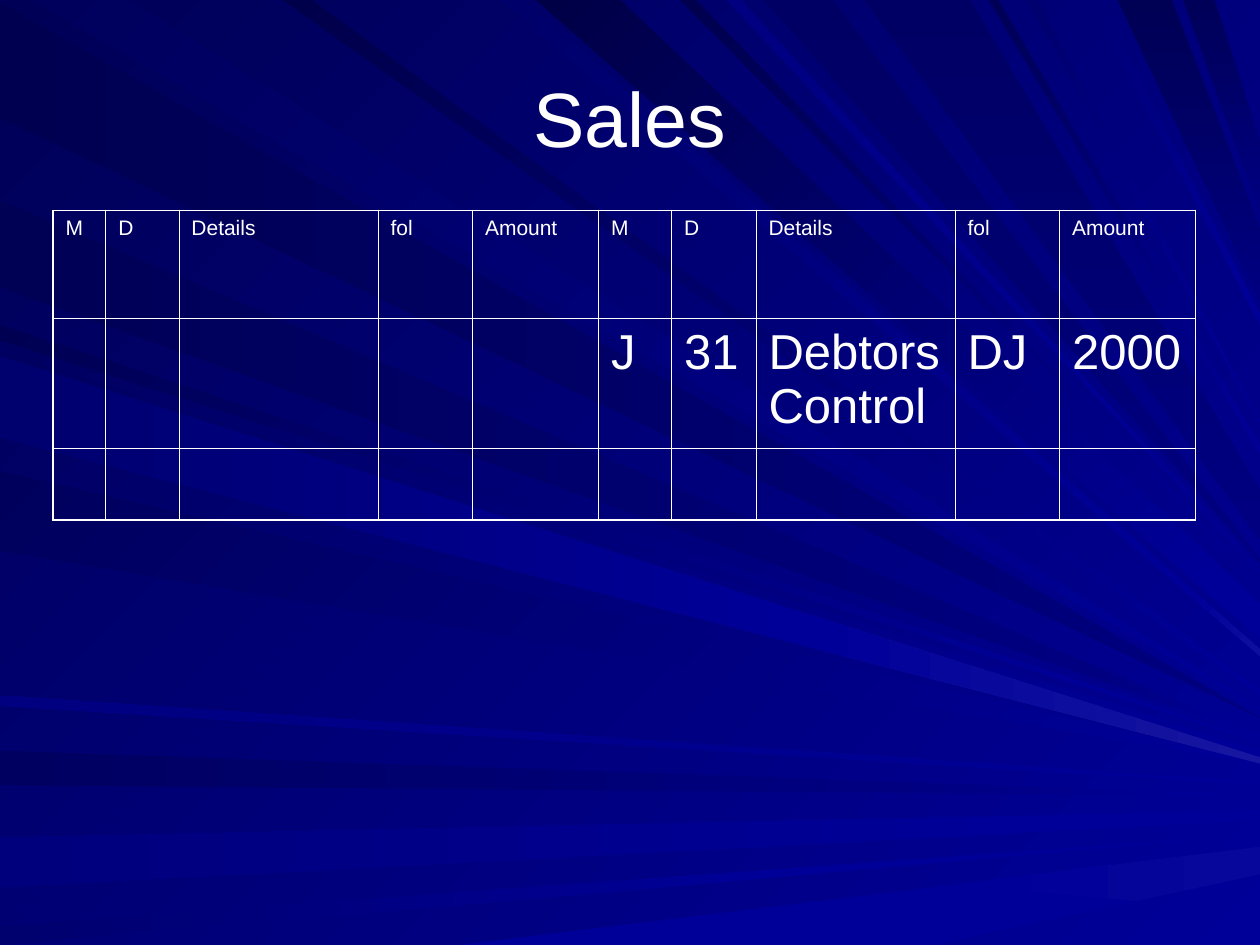
from lxml import etree
from pptx import Presentation, util as u
from pptx.dml.color import RGBColor
from pptx.enum import text
from pptx.oxml.ns import qn

HUE = {
    "white": "FFFFFF", "pink": "FF9999", "base": "000099", "mid": "000080",
    "n46": "000046", "n4A": "00004A", "n4E": "00004E", "n51": "000051",
    "n53": "000053", "n55": "000055", "n57": "000057", "n59": "000059",
    "n5C": "00005C", "n60": "000060", "n64": "000064", "n6A": "00006A",
    "n6E": "00006E", "n78": "000078", "n7C": "00007C", "n81": "000081",
    "glow1": "07079B", "glow2": "0E0E9E", "glow3": "1616A1",
}
FONT = "Arial"
WIDE, HIGH = 10, 7.5
TURN = {"west": 180, "nw": 135, "south": 270}

# Light rays, back to front: the edge a ray starts on, its gradient's heading,
# its hues, its two places on that edge, its two heights at the right edge
# and, for a ray of two parts, the share of its length where they meet
RAYS = [
    ("left", "west", "mid n51", 0.02, 0.93, 5.69, 5.7),
    ("top", "nw", "base n5C", 1.01, 0.26, 5.62, 5.63),
    ("left", "west", "base mid n60", 5.96, 6.23, 6.31, 6.32, 0.7),
    ("left", "west", "base base n7C", 6.65, 7.04, 6.43, 6.51, 0.83),
    ("left", "west", "base base n6E", 7.35, 7.5, 6.62, 6.62, 0.63),
    ("foot", "west", "glow1 base base", 3.64, 7.42, 6.72, 6.94, 0.62),
    ("left", "nw", "base base n53", 2.58, 2.7, 5.88, 5.89, 0.87),
    ("left", "west", "base mid n55", 1.59, 2.28, 5.84, 5.85, 0.87),
    ("top", "nw", "glow2 base n6A", 4.16, 3.98, 5.15, 5.21, 0.91),
    ("top", "nw", "base base n46", 4.92, 4.26, 4.79, 5.07, 0.93),
    ("top", "nw", "base n4E", 5.52, 5.4, 4.63, 4.63),
    ("top", "south", "n64 mid", 6.61, 6.06, 4.45, 4.46),
    ("top", "south", "n55 mid", 9.3, 8.87, 1.83, 2.37),
    ("top", "south", "n59 mid", 9.64, 9.39, 1.14, 1.67),
    ("left", "nw", "base n60", 2.78, 3.42, 5.96, 6.02),
    ("left", "nw", "base n5C", 3.74, 4.37, 6.05, 6.06),
    ("left", "west", "base n81", 5.52, 5.6, 6.21, 6.23),
    ("top", "nw", "base n4A", 2.47, 2.25, 5.47, 5.52),
    ("top", "nw", "base n81", 5.88, 5.77, 4.53, 4.54),
    ("top", "south", "n64 mid", 7.7, 6.86, 3.9, 4.28),
    ("top", "nw", "base n57", 7.92, 7.85, 3.54, 3.6),
    ("top", "nw", "base n6E", 8.24, 8.15, 3.35, 3.36),
    ("top", "nw", "base n78", 8.72, 8.65, 2.49, 2.58),
    ("left", "west", "glow3 base n6E", 2.83, 3.47, 6.01, 6.06, 0.64),
    ("top", "nw", "pink pink base n4E", 5.52, 5.4, 4.63, 4.63, 0.95),
]
COLS = [0.42, 0.58, 1.58, 0.75, 1, 0.58, 0.67, 1.58, 0.83, 1.08]
ROWS = [0.86, 1.03, 0.57]
HEAD = ["M", "D", "Details", "fol", "Amount"]
DATA = [HEAD * 2, [""] * 5 + ["J", "31", "Debtors Control", "DJ", "2000"], [""] * 10]
SIZES = [12, 28, 28]


def paint(fill, first, last, turn):
    if first == last:
        fill.solid()
        fill.fore_color.rgb = RGBColor.from_string(HUE[first])
        return
    fill.gradient()
    fill.gradient_angle = turn
    for stop, hue in zip(fill.gradient_stops, (first, last)):
        stop.color.rgb = RGBColor.from_string(HUE[hue])


def write(para, words, size):
    run = para.add_run()
    run.text = words
    run.font.name = FONT
    run.font.size = u.Pt(size)
    run.font.color.rgb = RGBColor.from_string(HUE["white"])


deck = Presentation()
deck.slide_width, deck.slide_height = u.Inches(WIDE), u.Inches(HIGH)
slide = deck.slides.add_slide(deck.slide_layouts[5])
paint(slide.background.fill, "base", "n57", TURN["nw"])

# Rays, grouped behind the title
group = slide.shapes.add_group_shape()
for edge, head, names, one, two, high, low, *cut in RAYS[:-1]:
    hues = names.split()
    near = [(0, p) if edge == "left" else (p, 0 if edge == "top" else HIGH)
            for p in (one, two)]
    sides = list(zip(near, [(WIDE, high), (WIDE, low)]))
    marks = [0, *cut, 1]
    for part, (start, end) in enumerate(zip(marks, marks[1:])):
        (a, d), (b, c) = [
            [(x + (far - x) * share, y + (fall - y) * share) for share in (start, end)]
            for (x, y), (far, fall) in sides]
        points = [(100 * x, 100 * y) for x, y in (a, d, c, b)]
        pen = group.shapes.build_freeform(*points[0], scale=u.Inches(0.01))
        pen.add_line_segments(points[1:], close=True)
        ray = pen.convert_to_shape()
        ray.shadow.inherit = False
        ray.line.fill.background()
        spot = len(hues) - 2 - part
        paint(ray.fill, hues[spot], hues[spot + 1], TURN[head])
slide.shapes.element.insert(2, group.element)

# Title
title = slide.shapes.title
title.left, title.top = u.Inches(0.5), u.Inches(0.3)
title.width, title.height = u.Inches(9), u.Inches(1.25)
frame = title.text_frame
frame.vertical_anchor = text.MSO_ANCHOR.MIDDLE
frame.paragraphs[0].alignment = text.PP_ALIGN.CENTER
write(frame.paragraphs[0], "Sales", 44)

# Ledger table
table = slide.shapes.add_table(
    len(ROWS), len(COLS), u.Inches(0.42), u.Inches(1.67),
    u.Inches(sum(COLS)), u.Inches(sum(ROWS))).table
table.first_row = table.horz_banding = False
for col, width in zip(table.columns, COLS):
    col.width = u.Inches(width)
for row, height in zip(table.rows, ROWS):
    row.height = u.Inches(height)

for r, line in enumerate(DATA):
    for c, words in enumerate(line):
        cell = table.cell(r, c)
        cell.fill.background()
        if words:
            write(cell.text_frame.paragraphs[0], words, SIZES[r])
        props = cell._tc.get_or_add_tcPr()
        outer = {"lnL": c == 0, "lnR": c == len(COLS) - 1,
                 "lnT": r == 0, "lnB": r == len(ROWS) - 1}
        for spot, (side, rim) in enumerate(outer.items()):
            rule = etree.Element(qn("a:" + side), w=str(u.Pt(1.08 if rim else 0.45)))
            solid = etree.SubElement(rule, qn("a:solidFill"))
            etree.SubElement(solid, qn("a:srgbClr"), val=HUE["white"])
            props.insert(spot, rule)

deck.save("out.pptx")
